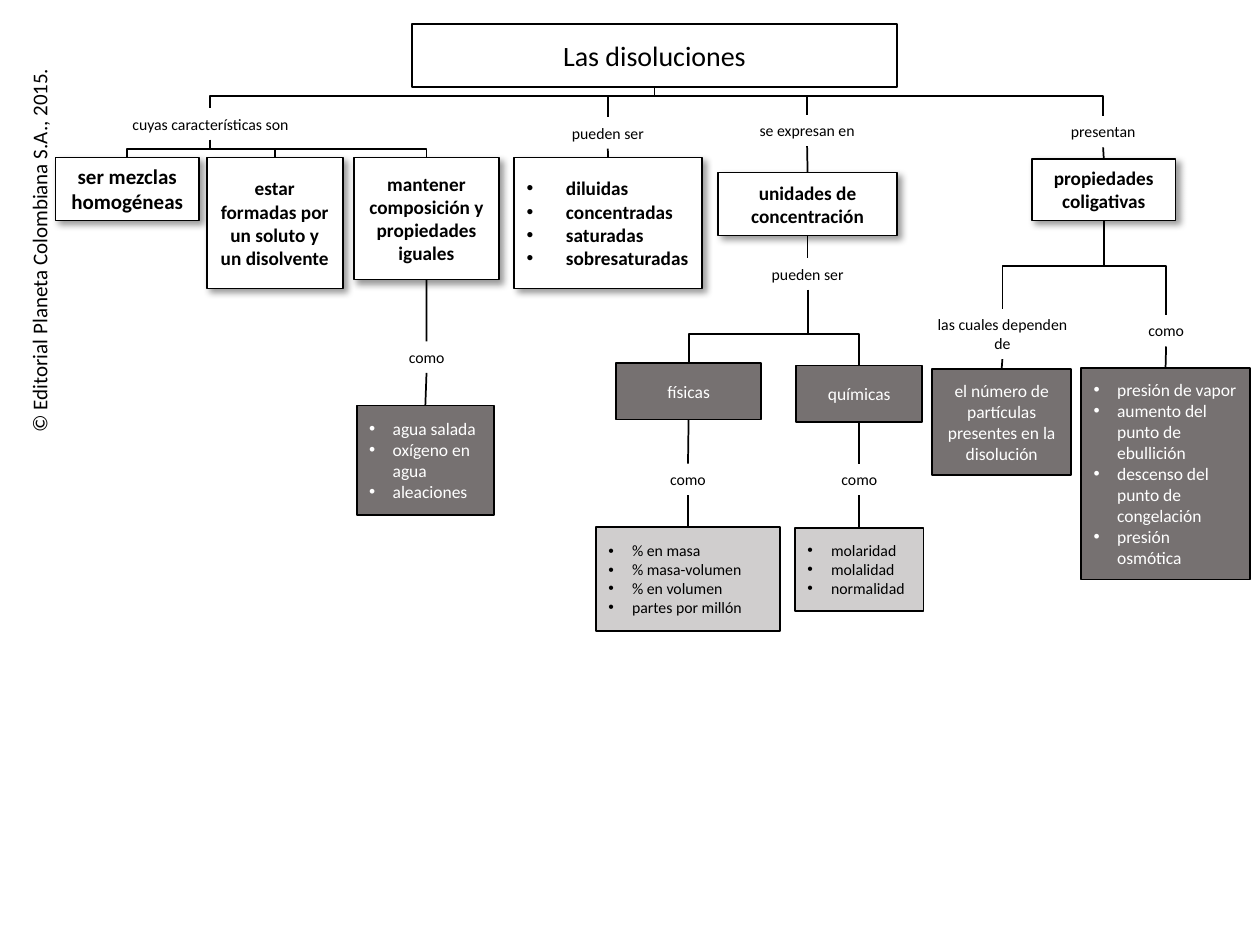
from lxml.etree import SubElement as Sub
from pptx import Presentation
from pptx.dml.color import RGBColor as Rgb
from pptx.enum.shapes import MSO_CONNECTOR as Link, MSO_SHAPE as Form
from pptx.enum.text import MSO_ANCHOR as Anchor, MSO_AUTO_SIZE as Fit, PP_ALIGN as Align
from pptx.oxml.ns import qn
from pptx.util import Pt

INK = {"black": "000000", "white": "FFFFFF", "dark": "767171", "light": "D0CECE"}


def write(shape, text, size=9, color="black", bold=False, align=Align.CENTER, hang=0):
    """Fill a shape with text, one paragraph a line; hang makes it a bulleted list."""
    frame = shape.text_frame
    for i, line in enumerate(text.split("\n")):
        para = frame.paragraphs[0] if i == 0 else frame.add_paragraph()
        para.alignment = Align.LEFT if hang else align
        if hang:
            props = para._p.get_or_add_pPr()
            props.set("marL", str(Pt(hang)))
            props.set("indent", str(-Pt(hang)))
            Sub(props, qn("a:buFont"), typeface="Arial")
            Sub(props, qn("a:buChar"), char="•")
        run = para.add_run()
        run.text = line
        font = run.font
        font.name, font.size, font.bold = "Calibri", Pt(size), bold
        font.color.rgb = Rgb.from_string(INK[color])


def shade(shape):
    """Cast a soft shadow down and to the right."""
    effects = shape._element.spPr.find(qn("a:effectLst"))
    cast = Sub(effects, qn("a:outerShdw"), blurRad=str(Pt(4)), dist=str(Pt(3)),
               dir="2700000", algn="tl", rotWithShape="0")
    tint = Sub(cast, qn("a:srgbClr"), val=INK["black"])
    Sub(tint, qn("a:alpha"), val="40000")


def box(slide, x, y, w, h, text, fill="white", shadow=False, **style):
    shape = slide.shapes.add_shape(Form.RECTANGLE, Pt(x), Pt(y), Pt(w), Pt(h))
    shape.shadow.inherit = False
    shape.fill.solid()
    shape.fill.fore_color.rgb = Rgb.from_string(INK[fill])
    shape.line.color.rgb = Rgb.from_string(INK["black"])
    shape.line.width = Pt(1)
    shape.text_frame.word_wrap = True
    shape.text_frame.vertical_anchor = Anchor.MIDDLE
    if shadow:
        shade(shape)
    write(shape, text, **style)
    return shape


def idea(slide, x, y, w, h, text, size=11, **style):
    return box(slide, x, y, w, h, text, shadow=True, size=size, bold=True, **style)


def case(slide, x, y, w, h, text, **style):
    return box(slide, x, y, w, h, text, fill="dark", size=10, color="white", **style)


def label(slide, x, y, w, text, h=18, wrap=True, **style):
    shape = slide.shapes.add_textbox(Pt(x), Pt(y), Pt(w), Pt(h))
    shape.text_frame.word_wrap = wrap
    shape.text_frame.auto_size = Fit.SHAPE_TO_FIT_TEXT
    write(shape, text, **style)
    return shape


def ends(top, low):
    """Middle of the upper shape's foot and of the lower shape's head."""
    return (top.left + top.width // 2, top.top + top.height,
            low.left + low.width // 2, low.top)


def wire(slide, kind, *spots):
    line = slide.shapes.add_connector(kind, *spots)
    line.line.color.rgb = Rgb.from_string(INK["black"])
    line.line.width = Pt(1)
    Sub(line._element.spPr, qn("a:effectLst"))
    return line


def join(slide, top, low):
    line = wire(slide, Link.STRAIGHT, *ends(top, low))
    line.begin_connect(top, 2)
    line.end_connect(low, 0)


def branch(slide, top, level, *lows):
    """Elbows that drop from top, run along level and drop to each lower shape."""
    for low in lows:
        x1, y1, x2, y2 = ends(top, low)
        mid_x, mid_y = (x1 + x2) // 2, (y1 + y2) // 2
        run, drop = abs(x2 - x1) // 2, (y2 - y1) // 2
        line = wire(slide, Link.ELBOW, mid_x - drop, mid_y - run,
                    mid_x + drop, mid_y + run)
        props = line._element.spPr
        turn = props.find(qn("a:xfrm"))
        turn.set("rot", str((270 if x2 > x1 else 90) * 60000))
        if x2 > x1:
            turn.set("flipH", "1")
        guides = props.find(qn("a:prstGeom")).find(qn("a:avLst"))
        bend = round((Pt(level) - y1) / (y2 - y1) * 100000)
        Sub(guides, qn("a:gd"), name="adj1", fmla=f"val {bend}")


def main():
    deck = Presentation()
    deck.slide_width, deck.slide_height = Pt(720), Pt(540)
    slide = deck.slides.add_slide(deck.slide_layouts[6])

    credit = label(slide, -90, 131, 224.6, "© Editorial Planeta Colombiana S.A., 2015.",
                   h=21.6, wrap=False, size=12, align=Align.LEFT)
    credit.rotation = 270
    title = box(slide, 235.4, 13.7, 277.2, 36, "Las disoluciones", size=16)

    traits = label(slide, 51.8, 61.9, 136.8, "cuyas características son")
    kinds = label(slide, 314.6, 67, 65.5, "pueden ser")
    terms = label(slide, 424.1, 65.5, 74.2, "se expresan en")
    shows = label(slide, 597.6, 66.2, 65.5, "presentan")
    branch(slide, title, 55, traits, kinds, terms, shows)

    mixed = idea(slide, 31.7, 90, 82.1, 36, "ser mezclas homogéneas", size=12)
    formed = idea(slide, 118.1, 90, 77.8, 74.9,
                  "estar formadas por un soluto y un disolvente")
    equal = idea(slide, 202.3, 90, 82.8, 69.8,
                 "mantener composición y propiedades iguales")
    branch(slide, traits, 85, mixed, formed, equal)
    such = label(slide, 214.6, 195.1, 58.3, "como")
    water = case(slide, 203.8, 231.8, 78.5, 62.6,
                 "agua salada\noxígeno en agua\naleaciones", hang=13.5)

    grades = idea(slide, 293.8, 90, 107.3, 74.9,
                  "diluidas\nconcentradas\nsaturadas\nsobresaturadas", hang=22.5)

    units = idea(slide, 410.4, 98.6, 102.2, 36, "unidades de concentración")
    sorts = label(slide, 421.2, 147.6, 80.6, "pueden ser")
    physics = case(slide, 352.1, 207.4, 82.8, 32.4, "físicas")
    chem = case(slide, 455, 208.8, 72, 32.4, "químicas")
    branch(slide, sorts, 191, physics, chem)
    left = label(slide, 352.1, 265, 82.1, "como")
    right = label(slide, 436.3, 265, 109.4, "como")
    mass = box(slide, 340.6, 301, 105.1, 59.8,
               "% en masa\n% masa-volumen\n% en volumen\npartes por millón",
               fill="light", hang=13.5)
    moles = box(slide, 454.3, 301.7, 73.4, 47.5, "molaridad\nmolalidad\nnormalidad",
                fill="light", hang=13.5)

    bound = idea(slide, 589.7, 90.7, 82.1, 35.3, "propiedades coligativas")
    depend = label(slide, 524.9, 176.4, 95.8, "las cuales dependen de", h=28.8)
    named = label(slide, 637.2, 180, 58.3, "como")
    branch(slide, bound, 152, depend, named)
    count = case(slide, 532.8, 211, 79.2, 60.5,
                 "el número de partículas presentes en la disolución")
    vapor = case(slide, 617.8, 210.2, 96.5, 121,
                 "presión de vapor\naumento del punto de ebullición\n"
                 "descenso del punto de congelación\npresión osmótica", hang=13.5)

    for chain in ((equal, such, water), (kinds, grades), (terms, units, sorts),
                  (physics, left, mass), (chem, right, moles), (shows, bound),
                  (depend, count), (named, vapor)):
        for top, low in zip(chain, chain[1:]):
            join(slide, top, low)

    deck.save("out.pptx")


if __name__ == "__main__":
    main()
